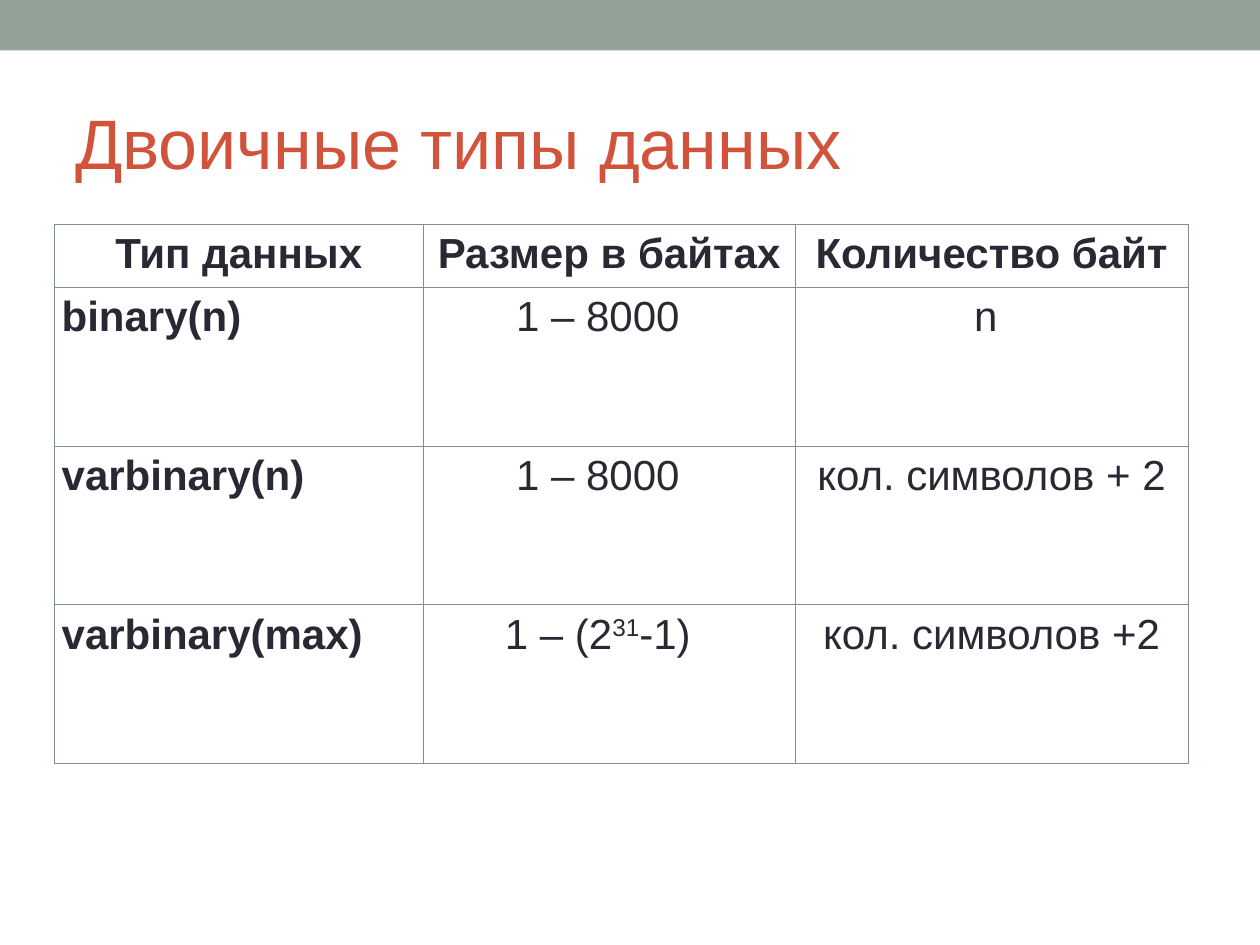
from lxml import etree
from pptx import Presentation
from pptx.dml.color import RGBColor
from pptx.enum.shapes import MSO_SHAPE
from pptx.enum.text import MSO_ANCHOR, PP_ALIGN
from pptx.oxml.ns import qn
from pptx.util import Inches, Pt

RECTANGLE = MSO_SHAPE.RECTANGLE
MIDDLE, TOP = MSO_ANCHOR.MIDDLE, MSO_ANCHOR.TOP
LEFT, CENTER = PP_ALIGN.LEFT, PP_ALIGN.CENTER

SAGE = RGBColor(0x93, 0xA2, 0x99)
RED = RGBColor(0xD2, 0x53, 0x3C)
INK = RGBColor(0x29, 0x29, 0x34)
SLATE = RGBColor(0x80, 0x8D, 0xA0)

TITLE = "Двоичные типы данных"
ROWS = [
    ["Тип данных", "Размер в байтах", "Количество байт"],
    ["binary(n)", "1 – 8000", "n"],
    ["varbinary(n)", "1 – 8000", "кол. символов + 2"],
    ["varbinary(max)", ("1 – (2", "31", "-1)"), "кол. символов +2"],
]
COLUMN_WIDTHS = [2.93, 2.95, 3.12]
ROW_HEIGHTS = [0.47] + [1.26] * 3
INSET = 0.06
SPACE_WIDTH = 0.09
TRAILING_SPACES = {(1, 1): 2, (2, 1): 2, (3, 1): 2, (1, 2): 1}
THIN, HEADER_RULE = 0.45, 0.96

TITLE_FONT = {"name": "Arial", "size": Pt(40)}
CELL_FONT = {"name": "Arial", "size": Pt(24)}


def write(paragraph, parts, color, font_format):
    for index, part in enumerate(parts):
        run = paragraph.add_run()
        run.text = part
        for key, value in font_format.items():
            setattr(run.font, key, value)
        run.font.color.rgb = color
        if index == 1:
            run.font._element.set("baseline", "30000")


def draw_borders(cell, widths):
    properties = cell._tc.get_or_add_tcPr()
    for index, (side, width) in enumerate(widths.items()):
        border = etree.Element(qn(f"a:ln{side}"), w=str(Pt(width)))
        fill = etree.SubElement(border, qn("a:solidFill"))
        etree.SubElement(fill, qn("a:srgbClr"), val=str(SLATE))
        properties.insert(index, border)


def add_title(slide):
    title = slide.shapes.add_textbox(Inches(0.5), Inches(0.58), Inches(9), Inches(1.08))
    title.text_frame.word_wrap = True
    title.text_frame.vertical_anchor = MIDDLE
    write(title.text_frame.paragraphs[0], [TITLE], RED, TITLE_FONT)


def add_types_table(slide):
    table = slide.shapes.add_table(
        len(ROWS), len(COLUMN_WIDTHS), Inches(0.43), Inches(1.78),
        Inches(sum(COLUMN_WIDTHS)), Inches(sum(ROW_HEIGHTS))).table
    for column, width in zip(table.columns, COLUMN_WIDTHS):
        column.width = Inches(width)
    for row, height in zip(table.rows, ROW_HEIGHTS):
        row.height = Inches(height)
    for r, row in enumerate(ROWS):
        for c, content in enumerate(row):
            cell = table.cell(r, c)
            right_inset = INSET + SPACE_WIDTH * TRAILING_SPACES.get((r, c), 0)
            cell_format = {
                "margin_left": Inches(INSET), "margin_right": Inches(right_inset),
                "margin_top": Inches(0.05), "margin_bottom": Inches(0.05),
                "vertical_anchor": TOP,
            }
            for key, value in cell_format.items():
                setattr(cell, key, value)
            cell.fill.background()
            draw_borders(cell, {"L": THIN, "R": THIN,
                                "T": HEADER_RULE if r == 1 else THIN,
                                "B": HEADER_RULE if r == 0 else THIN})
            paragraph = cell.text_frame.paragraphs[0]
            paragraph.alignment = LEFT if r and c == 0 else CENTER
            parts = [content] if isinstance(content, str) else content
            write(paragraph, parts, INK, {**CELL_FONT, "bold": r == 0 or c == 0})


def main():
    deck = Presentation()
    deck.slide_width, deck.slide_height = Inches(10), Inches(7.5)
    slide = deck.slides.add_slide(deck.slide_layouts[6])
    band = slide.shapes.add_shape(RECTANGLE, 0, 0, deck.slide_width, Inches(0.4))
    band.shadow.inherit = False
    band.fill.solid()
    band.fill.fore_color.rgb = SAGE
    band.line.fill.background()
    add_title(slide)
    add_types_table(slide)
    deck.save("out.pptx")


if __name__ == "__main__":
    main()
